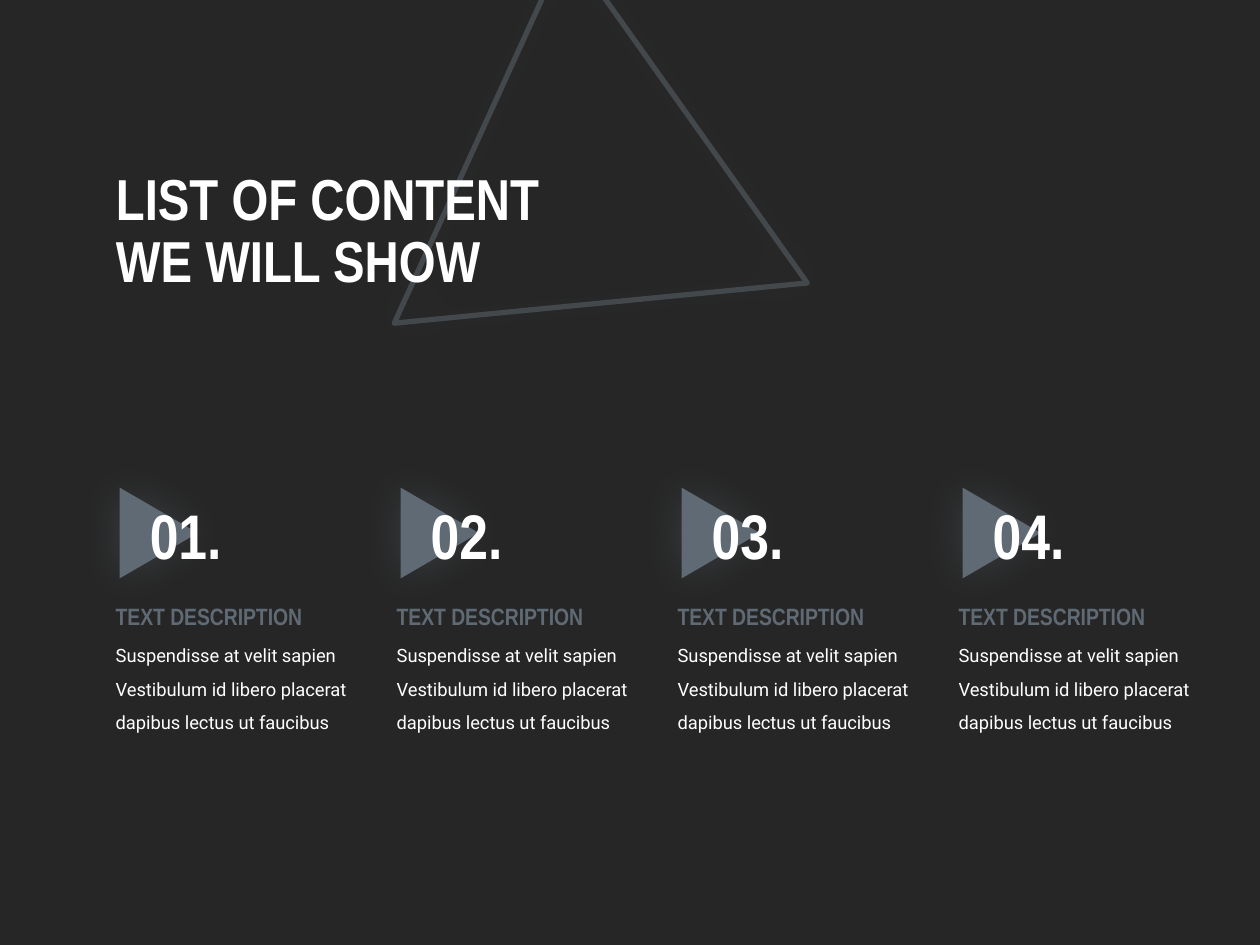
"""Build a dark contents slide with four numbered columns."""
from dataclasses import dataclass

import pptx
import pptx.dml.color
import pptx.enum.shapes
import pptx.enum.text
import pptx.oxml
import pptx.oxml.ns
import pptx.util
from lxml import etree

COLORS = {"background": "262626", "accent": "606A74", "text": "FFFFFF"}
HEADING_FONT, BODY_FONT = "Arial Narrow", "Roboto"
WIDTH, HEIGHT = 10, 7.5
MARGIN, PITCH = 0.82, 2.23


@dataclass
class Box:
    left: float
    top: float
    width: float
    height: float

    def in_column(self, column: int) -> "Box":
        return Box(MARGIN + column * PITCH + self.left, self.top, self.width, self.height)

    def emu(self) -> list:
        return [pptx.util.Inches(v) for v in (self.left, self.top, self.width, self.height)]


@dataclass
class Style:
    size: float
    color: str = "text"
    font: str = HEADING_FONT
    bold: bool = True
    spacing: float = 1.0


@dataclass
class Label:
    box: Box
    style: Style


@dataclass
class Item:
    number: str
    body: str = "Suspendisse at velit sapien Vestibulum id libero placerat dapibus lectus ut faucibus"
    heading: str = "TEXT DESCRIPTION"


MARKER = Box(0.08, 3.92, 0.72, 0.62)
NUMBER = Label(Box(0.27, 3.89, 0.99, 0.71), Style(36))
BODY = Label(Box(0, 4.98, 2.11, 0.87), Style(10.5, font=BODY_FONT, bold=False, spacing=1.5))
HEADING = Label(Box(0, 4.73, 1.84, 0.33), Style(13.5, "accent"))
ITEMS = [Item(f"{n:02}.") for n in range(1, 5)]


def rgb(name: str) -> pptx.dml.color.RGBColor:
    return pptx.dml.color.RGBColor.from_string(COLORS[name])


def set_text(tf, text: str, style: Style) -> None:
    tf.word_wrap = True
    p = tf.paragraphs[0]
    p.text = text
    p.alignment = pptx.enum.text.PP_ALIGN.LEFT
    p.line_spacing = style.spacing
    for r in p.runs:
        r.font.name = style.font
        r.font.size = pptx.util.Pt(style.size)
        r.font.bold = style.bold
        r.font.color.rgb = rgb(style.color)


def add_label(slide, label: Label, column: int, text: str) -> None:
    tf = slide.shapes.add_textbox(*label.box.in_column(column).emu()).text_frame
    set_text(tf, text, label.style)
    tf.auto_size = pptx.enum.text.MSO_AUTO_SIZE.SHAPE_TO_FIT_TEXT


def add_triangle(slide, box: Box, rotation: float):
    sp = slide.shapes.add_shape(
        pptx.enum.shapes.MSO_SHAPE.ISOSCELES_TRIANGLE, *box.emu())
    sp.rotation = rotation
    sp.shadow.inherit = False
    effects = sp._element.spPr.find(pptx.oxml.ns.qn("a:effectLst"))
    effects.append(pptx.oxml.parse_xml(
        f'<a:outerShdw {pptx.oxml.ns.nsdecls("a")} blurRad="{pptx.util.Pt(25)}" '
        f'dist="0" dir="0" algn="ctr" rotWithShape="0">'
        f'<a:srgbClr val="{COLORS["accent"]}"><a:alpha val="35000"/></a:srgbClr>'
        f'</a:outerShdw>'))
    return sp


def add_outline_triangle(slide) -> None:
    sp = add_triangle(slide, Box(3.46, 0.23, 3.3, 2.85), 114.5)
    sp.fill.background()
    sp.line.color.rgb = rgb("accent")
    sp.line.width = pptx.util.Pt(3)
    color = sp.line._ln.find(".//" + pptx.oxml.ns.qn("a:srgbClr"))
    etree.SubElement(color, pptx.oxml.ns.qn("a:alpha"), val="50000")


def add_title(slide) -> None:
    title = slide.shapes.title
    title.left, title.top, title.width, title.height = Box(MARGIN, 1.06, 4.22, 1.58).emu()
    tf = title.text_frame
    set_text(tf, "LIST OF CONTENT\vWE WILL SHOW", Style(33, spacing=0.9))
    tf.vertical_anchor = pptx.enum.text.MSO_ANCHOR.MIDDLE
    tf.auto_size = pptx.enum.text.MSO_AUTO_SIZE.NONE


def add_item(slide, column: int, item: Item) -> None:
    sp = add_triangle(slide, MARKER.in_column(column), 90)
    sp.fill.solid()
    sp.fill.fore_color.rgb = rgb("accent")
    sp.line.fill.background()
    add_label(slide, NUMBER, column, item.number)
    add_label(slide, BODY, column, item.body)
    add_label(slide, HEADING, column, item.heading)


def main() -> None:
    prs = pptx.Presentation()
    prs.slide_width = pptx.util.Inches(WIDTH)
    prs.slide_height = pptx.util.Inches(HEIGHT)
    slide = prs.slides.add_slide(prs.slide_layouts[0])
    slide.background.fill.solid()
    slide.background.fill.fore_color.rgb = rgb("background")
    subtitle = slide.placeholders[1]._element
    subtitle.getparent().remove(subtitle)
    add_outline_triangle(slide)
    add_title(slide)
    title = slide.shapes.title._element
    title.getparent().append(title)
    for column, item in enumerate(ITEMS):
        add_item(slide, column, item)
    prs.save("out.pptx")


if __name__ == "__main__":
    main()
